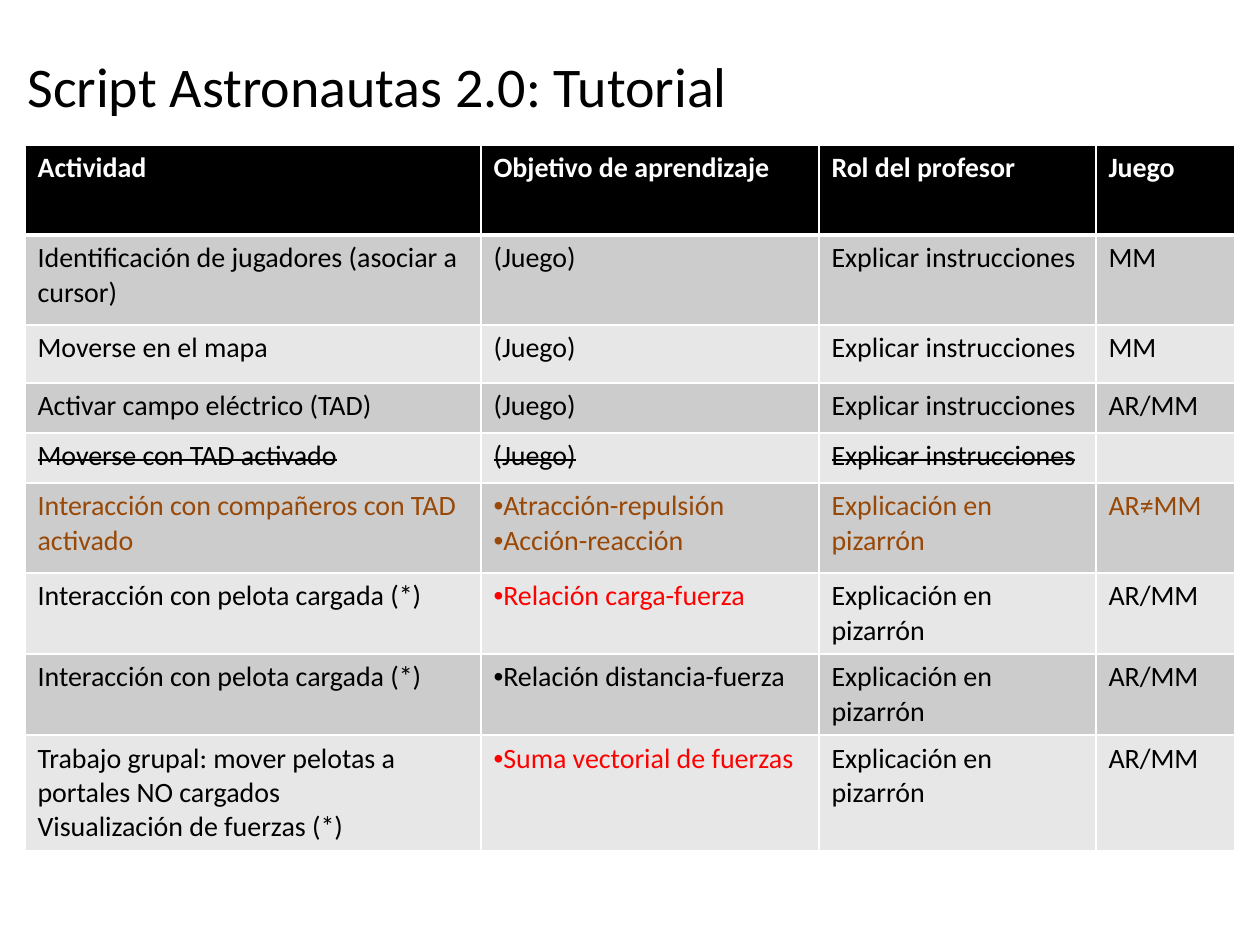
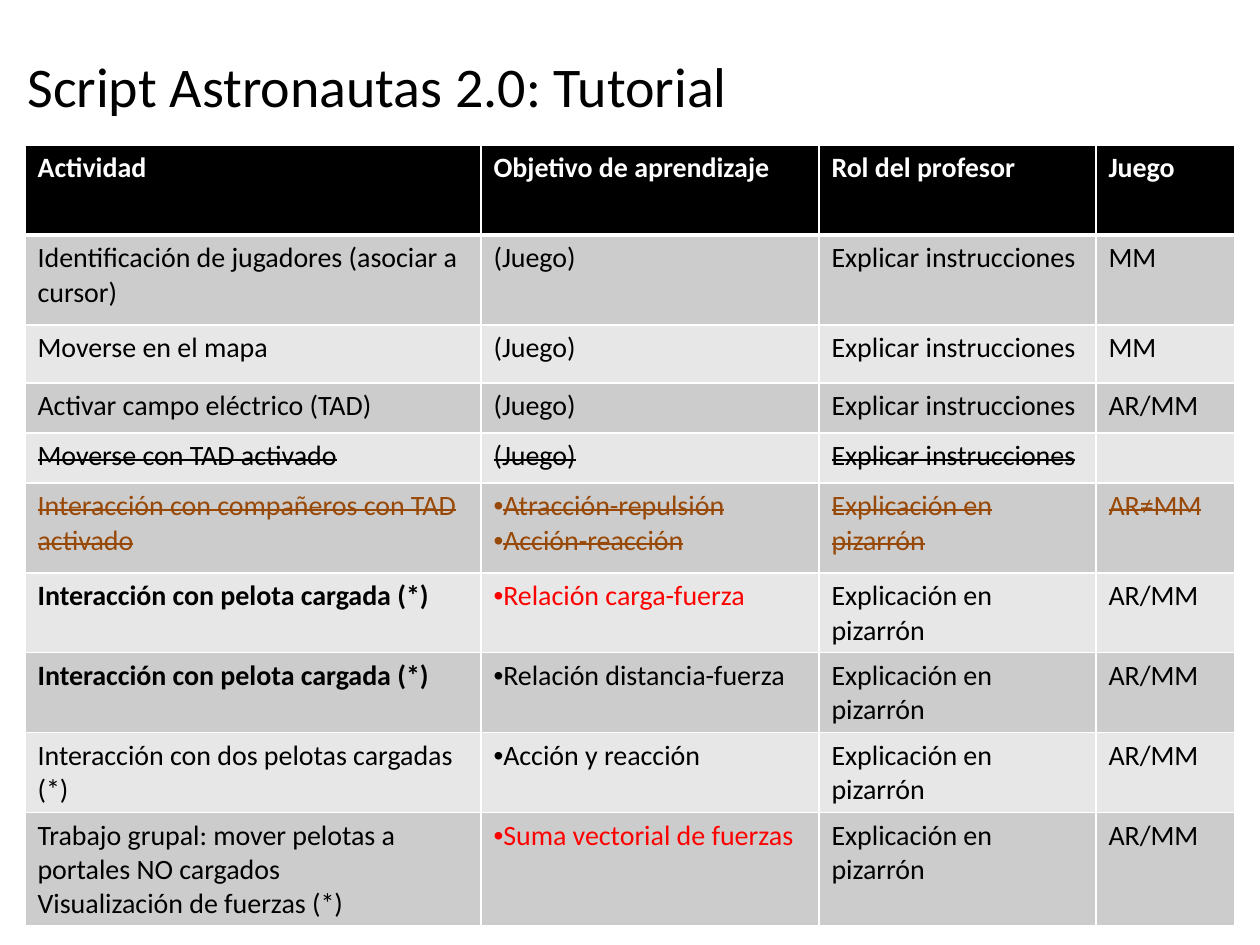
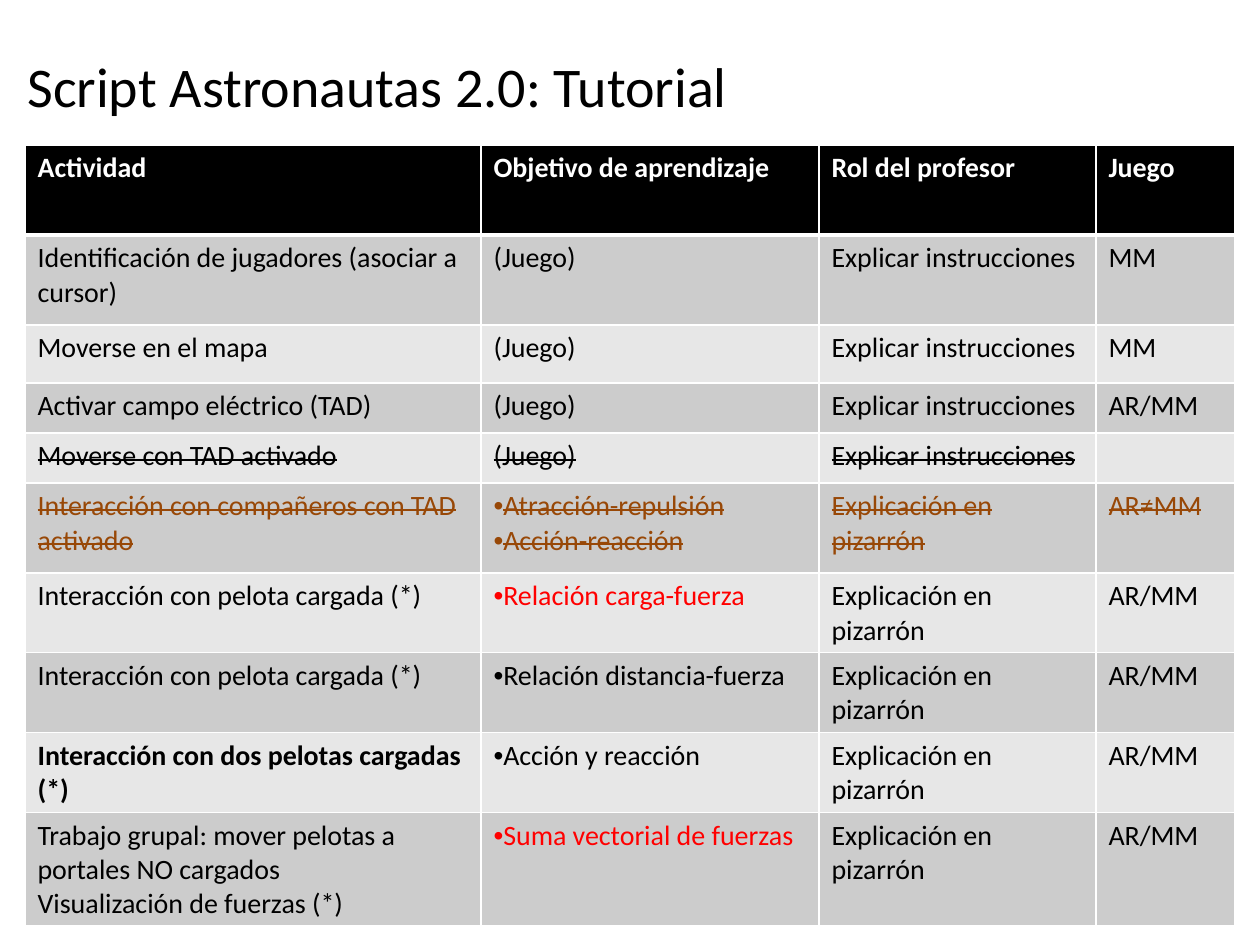
"""Build the three tutorial script slides of Astronautas 2.0."""
import pptx
import pptx.dml.color
import pptx.enum.text
import pptx.oxml
import pptx.oxml.ns
import pptx.util

RGB = pptx.dml.color.RGBColor
BLACK = RGB(0x00, 0x00, 0x00)
WHITE = RGB(0xFF, 0xFF, 0xFF)
DARK = RGB(0xCC, 0xCC, 0xCC)
LIGHT = RGB(0xE7, 0xE7, 0xE7)
BROWN = RGB(0x98, 0x48, 0x07)
RED = RGB(0xFF, 0x00, 0x00)

TITLE = "Script Astronautas 2.0: Tutorial"
COLS = (456, 338, 277, 139)
EXPLAIN = "Explicar instrucciones"
BOARD = "Explicación en pizarrón"
BALL = "Interacción con pelota cargada (*)"
PAIR = "Interacción con dos pelotas cargadas (*)"
MOVE = "Moverse con TAD activado"
PEERS = "Interacción con compañeros con TAD activado"
KEY_GOALS = ("Relación carga-fuerza", "Suma vectorial de fuerzas")

HEAD = (90, "Actividad", "Objetivo de aprendizaje", "Rol del profesor", "Juego")
ROWS = (
    HEAD,
    (90, "Identificación de jugadores (asociar a cursor)", "(Juego)", EXPLAIN, "MM"),
    (58, "Moverse en el mapa", "(Juego)", EXPLAIN, "MM"),
    (50, "Activar campo eléctrico (TAD)", "(Juego)", EXPLAIN, "AR/MM"),
    (50, MOVE, "(Juego)", EXPLAIN, ""),
    (90, PEERS, "Atracción-repulsión\nAcción-reacción", BOARD, "AR≠MM"),
    (78, BALL, "Relación carga-fuerza", BOARD, "AR/MM"),
    (78, BALL, "Relación distancia-fuerza", BOARD, "AR/MM"),
    (78, PAIR, "Acción y reacción", BOARD, "AR/MM"),
    (110, "Trabajo grupal: mover pelotas a portales NO cargados\n"
          "Visualización de fuerzas (*)", "Suma vectorial de fuerzas", BOARD, "AR/MM"),
)


class Deck:
    """Hold the style and the current slide."""

    font = "Calibri"
    scale = 914400 / 126

    def __init__(self):
        self.prs = pptx.Presentation()
        self.prs.slide_width = self.px(1260)
        self.prs.slide_height = self.px(945)
        self.slide = None

    def px(self, n):
        return pptx.util.Emu(round(n * self.scale))

    def box(self, *sides):
        return [self.px(n) for n in sides]

    def page(self):
        self.slide = self.prs.slides.add_slide(self.prs.slide_layouts[6])

    def style(self, para, size, color, bold=False):
        para.font.name = self.font
        para.font.size = pptx.util.Pt(size)
        para.font.bold = bold
        para.font.color.rgb = color

    def title(self, text):
        frame = self.slide.shapes.add_textbox(*self.box(15, 6, 1134, 158)).text_frame
        frame.word_wrap = True
        frame.vertical_anchor = pptx.enum.text.MSO_ANCHOR.MIDDLE
        frame.text = text
        self.style(frame.paragraphs[0], 32, BLACK)

    def xml(self, tag, inner="", **attrs):
        pairs = "".join(f' {key}="{val}"' for key, val in attrs.items())
        space = pptx.oxml.ns.nsdecls("a")
        return pptx.oxml.parse_xml(f"<a:{tag} {space}{pairs}>{inner}</a:{tag}>")

    def bullet(self, para, color):
        props = para._p.get_or_add_pPr()
        fill = f'<a:srgbClr val="{color}"/>'
        marks = (self.xml("buClr", fill), self.xml("buFont", typeface="Arial"),
                 self.xml("buChar", char="•"))
        for spot, mark in enumerate(marks):
            props.insert(spot, mark)

    def edges(self, cell, top, bottom):
        props = cell._tc.get_or_add_tcPr()
        fill = f'<a:solidFill><a:srgbClr val="{WHITE}"/></a:solidFill>'
        widths = (("lnL", 1), ("lnR", 1), ("lnT", top), ("lnB", bottom))
        for spot, (tag, width) in enumerate(widths):
            props.insert(spot, self.xml(tag, fill, w=pptx.util.Pt(width)))

    def cell(self, cell, text, fill, color, bold, struck, dots):
        cell.fill.solid()
        cell.fill.fore_color.rgb = fill
        cell.text = text
        for para in cell.text_frame.paragraphs:
            self.style(para, 16, color, bold)
            if dots:
                self.bullet(para, color)
            if struck:
                for run in para.runs:
                    run._r.get_or_add_rPr().set("strike", "sngStrike")

    def table(self, rows, struck, bold):
        high = sum(row[0] for row in rows)
        sides = self.box(25, 145, sum(COLS), high)
        grid = self.slide.shapes.add_table(len(rows), len(COLS), *sides).table
        for col, width in zip(grid.columns, COLS):
            col.width = self.px(width)
        for r, (height, *texts) in enumerate(rows):
            grid.rows[r].height = self.px(height)
            name = texts[0]
            head = r == 0
            fill = BLACK if head else DARK if r % 2 else LIGHT
            base = WHITE if head else BROWN if name == PEERS else BLACK
            for c, text in enumerate(texts):
                color = RED if text in KEY_GOALS else base
                strong = head or (c == 0 and name in bold)
                dots = c == 1 and not head and text != "(Juego)"
                cell = grid.cell(r, c)
                self.cell(cell, text, fill, color, strong, name in struck, dots)
                self.edges(cell, 3 if r == 1 else 1, 3 if head else 1)


def main():
    deck = Deck()
    short = [row for row in ROWS if row[1] != PAIR]
    plans = (
        (short, (MOVE,), ()),
        (ROWS, (MOVE, PEERS), (BALL,)),
        (ROWS, (MOVE, PEERS), (PAIR,)),
    )
    for rows, struck, bold in plans:
        deck.page()
        deck.table(rows, struck, bold)
        deck.title(TITLE)
    deck.prs.save("out.pptx")


if __name__ == "__main__":
    main()
